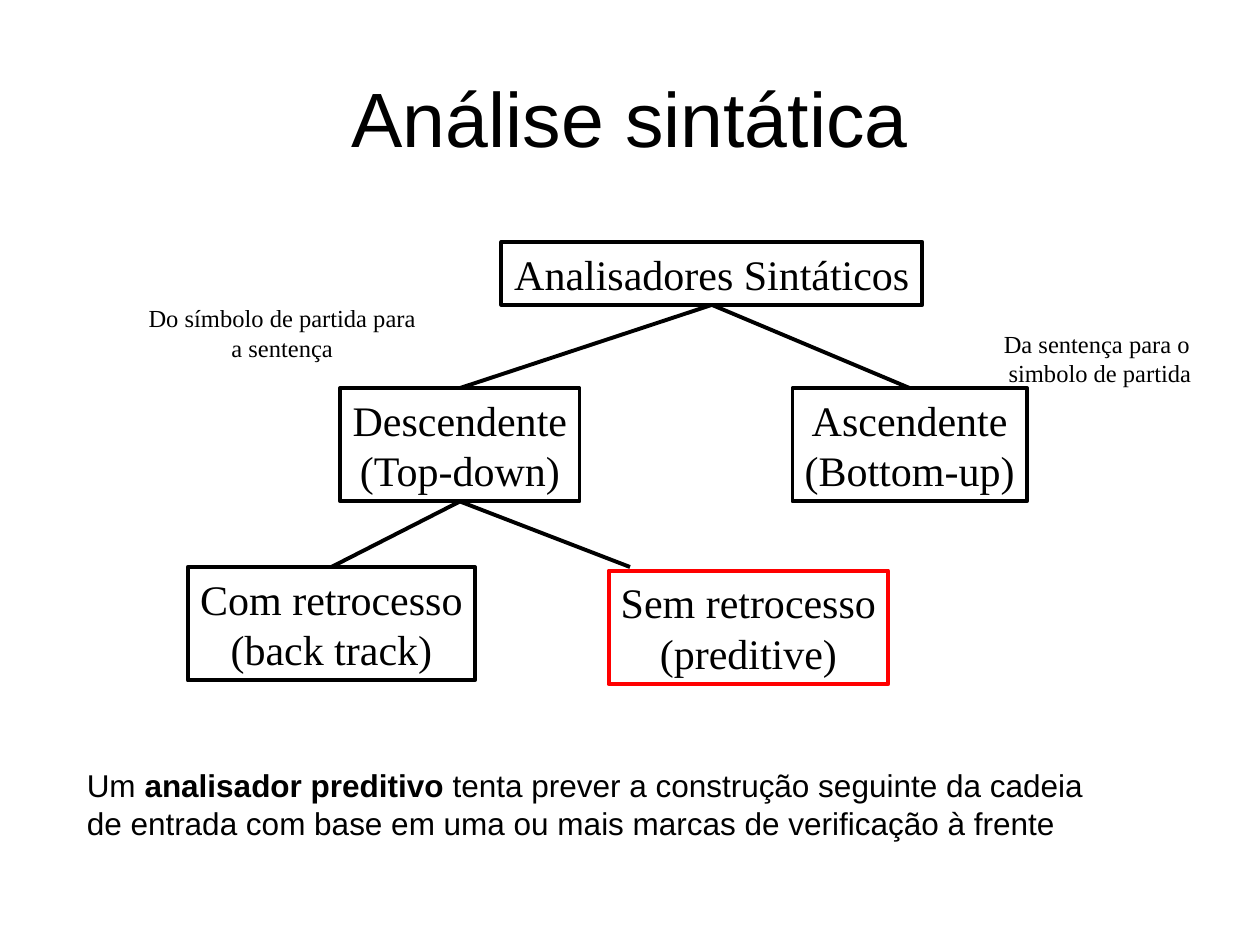
from dataclasses import dataclass

from pptx import Presentation
from pptx.dml.color import RGBColor
from pptx.enum.shapes import MSO_CONNECTOR, MSO_SHAPE
from pptx.enum.text import MSO_ANCHOR, MSO_AUTO_SIZE, PP_ALIGN
from pptx.oxml.ns import qn
from pptx.util import Inches, Pt


@dataclass(frozen=True)
class Theme:
    ink: RGBColor = RGBColor(0, 0, 0)
    paper: RGBColor = RGBColor(255, 255, 255)
    accent: RGBColor = RGBColor(255, 0, 0)
    sans: str = "Arial"
    serif: str = "Times New Roman"
    title: int = 44
    node: int = 24
    body: int = 18
    note: int = 14
    line: float = 2.25


T = Theme()
BOTTOM, TOP = 2, 0

# Content: boxes are (left, top, width, height)
TITLE = ("Análise sintática", (0.5, 0.3, 9, 1.25))
NODES = {
    "root": (["Analisadores Sintáticos"], (3.98, 1.92, 3.34, 0.5), T.paper, T.ink),
    "down": (["Descendente", "(Top-down)"], (2.7, 3.08, 1.9, 0.9), T.paper, T.ink),
    "up": (["Ascendente", "(Bottom-up)"], (6.29, 3.08, 1.86, 0.9), T.paper, T.ink),
    "back": (["Com retrocesso", "(back track)"], (1.49, 4.5, 2.28, 0.9), T.paper, T.ink),
    "predictive": (["Sem retrocesso", "(preditive)"], (4.83, 4.53, 2.22, 0.9), None, T.accent),
}
# A branch leads to a node, or to a free point
BRANCHES = [("root", "down"), ("root", "up"), ("down", "back"), ("down", (5, 4.5))]
NOTES = [
    (["Do símbolo de partida para", "a sentença"], (1.08, 2.36, 2.32, 0.57), T.paper),
    (["Da sentença para o ", "simbolo de partida"], (7.87, 2.56, 1.72, 0.57), None),
]
SUMMARY = [
    ("Um ", False),
    ("analisador preditivo", True),
    (" tenta prever a construção seguinte da cadeia de entrada com base em "
     "uma ou mais marcas de verificação à frente", False),
]
SUMMARY_BOX = (0.59, 6.03, 8.35, 0.7)


def inches(box):
    return [Inches(v) for v in box]


def write(sp, paragraphs, font, size, align, anchor=MSO_ANCHOR.TOP, wrap=True):
    """Fill a shape with paragraphs, each a list of (text, bold) runs."""
    tf = sp.text_frame
    tf.word_wrap = wrap
    tf.auto_size = MSO_AUTO_SIZE.NONE
    tf.vertical_anchor = anchor
    for i, runs in enumerate(paragraphs):
        p = tf.paragraphs[0] if i == 0 else tf.add_paragraph()
        p.alignment = align
        for text, bold in runs:
            r = p.add_run()
            r.text = text
            r.font.name, r.font.size, r.font.bold = font, Pt(size), bold
            r.font.color.rgb = T.ink


def paint(sp, fill):
    if fill is None:
        sp.fill.background()
    else:
        sp.fill.solid()
        sp.fill.fore_color.rgb = fill


def plain(lines):
    return [[(line, False)] for line in lines]


def add_node(shapes, lines, box, fill, outline):
    sp = shapes.add_shape(MSO_SHAPE.RECTANGLE, *inches(box))
    sp.shadow.inherit = False
    paint(sp, fill)
    sp.line.color.rgb = outline
    sp.line.width = Pt(T.line)
    write(sp, plain(lines), T.serif, T.node, PP_ALIGN.CENTER, wrap=False)
    return sp


def add_branch(shapes, nodes, start, end):
    free_end = inches(end) if isinstance(end, tuple) else (0, 0)
    line = shapes.add_connector(MSO_CONNECTOR.STRAIGHT, 0, 0, *free_end)
    line.begin_connect(nodes[start], BOTTOM)
    if end in nodes:
        line.end_connect(nodes[end], TOP)
    line.line.color.rgb = T.ink
    line.line.width = Pt(T.line)
    sp_pr = line._element.spPr
    sp_pr.append(sp_pr.makeelement(qn("a:effectLst"), {}))


def main():
    prs = Presentation()
    prs.slide_width, prs.slide_height = Inches(10), Inches(7.5)
    slide = prs.slides.add_slide(prs.slide_layouts[5])
    shapes = slide.shapes

    # Title
    text, box = TITLE
    title = shapes.title
    title.left, title.top, title.width, title.height = inches(box)
    write(title, plain([text]), T.sans, T.title, PP_ALIGN.CENTER, MSO_ANCHOR.MIDDLE)

    # Tree of parsers
    nodes = {key: add_node(shapes, *node) for key, node in NODES.items()}
    for start, end in BRANCHES:
        add_branch(shapes, nodes, start, end)

    # Side notes
    for lines, box, fill in NOTES:
        sp = shapes.add_textbox(*inches(box))
        paint(sp, fill)
        write(sp, plain(lines), T.serif, T.note, PP_ALIGN.CENTER, wrap=False)

    # Summary
    sp = shapes.add_textbox(*inches(SUMMARY_BOX))
    write(sp, [SUMMARY], T.sans, T.body, PP_ALIGN.LEFT)

    prs.save("out.pptx")


if __name__ == "__main__":
    main()
